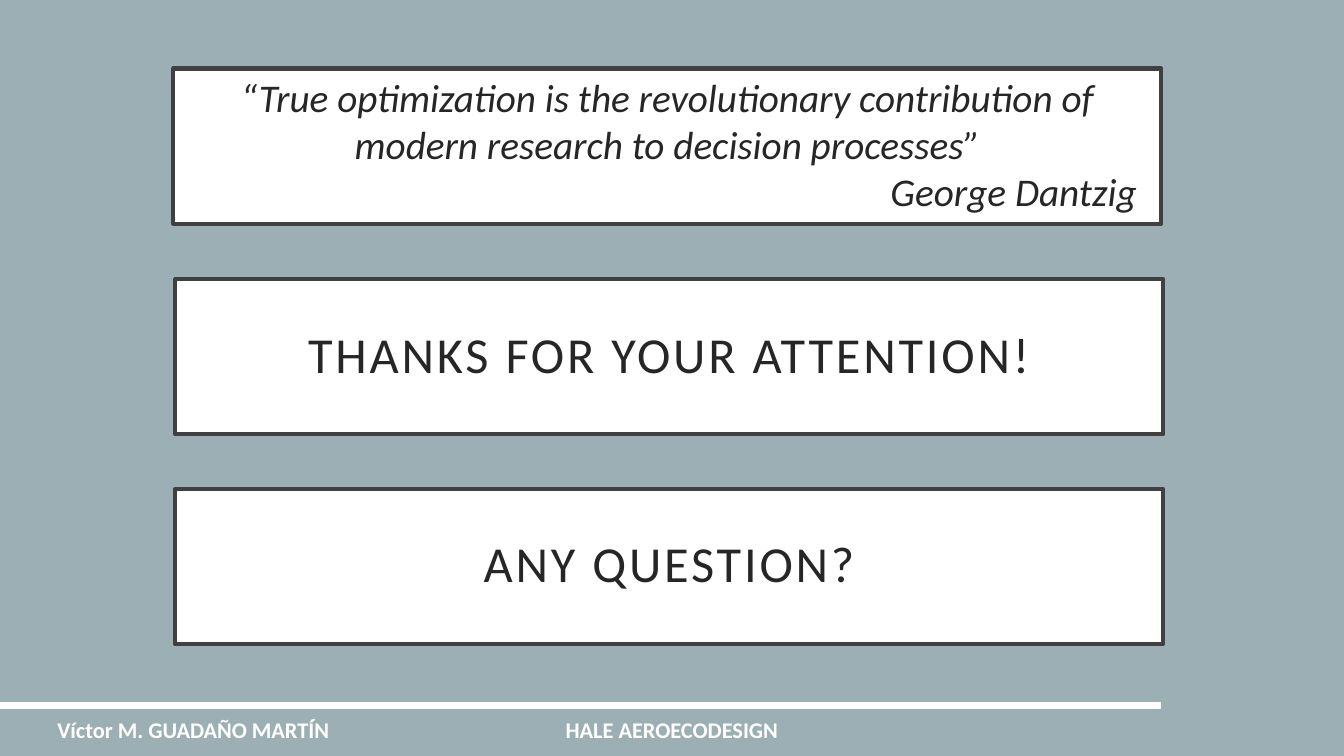
from pptx import Presentation
from pptx.dml.color import RGBColor
from pptx.enum import shapes, text
from pptx.util import Pt

FONT = "Calibri"
BACKGROUND, WHITE, BORDER, INK = "9BAFB5", "FFFFFF", "404040", "262626"
LEFT, CENTER, RIGHT = text.PP_ALIGN.LEFT, text.PP_ALIGN.CENTER, text.PP_ALIGN.RIGHT

QUOTE = [
    ("“True optimization is the revolutionary contribution of modern research "
     "to decision processes”", CENTER),
    ("George Dantzig\t ", RIGHT),
]
CLOSING_LINES = ["THANKS FOR YOUR ATTENTION!", "ANY QUESTION?"]
# text, left, width, alignment
FOOTERS = [
    ("Víctor M. GUADAÑO MARTÍN", 33.84, 252.72, LEFT),
    ("HALE AEROECODESIGN", 365.04, 229.68, CENTER),
]

PANEL_WIDTH, PANEL_HEIGHT = 705.6, 110.88
QUOTE_LEFT, QUOTE_TOP = 123.84, 48.96
CLOSING_LEFT, CLOSING_TOP, CLOSING_STEP = 125.28, 199.44, 149.76
RULE_TOP, RULE_END = 504, 829.44
FOOTER_TOP, FOOTER_HEIGHT = 508.32, 31.68


def color(hex_code):
    return RGBColor.from_string(hex_code)


def write(paragraph, words, alignment, size, hex_code, bold=False, italic=False):
    paragraph.text = words
    paragraph.alignment = alignment
    for run in paragraph.runs:
        font = run.font
        font.name, font.size = FONT, Pt(size)
        font.bold, font.italic = bold, italic
        font.color.rgb = color(hex_code)


def add_panel(slide, left, top):
    """Add a white bordered rectangle and return its text frame."""
    panel = slide.shapes.add_shape(
        shapes.MSO_SHAPE.RECTANGLE, Pt(left), Pt(top), Pt(PANEL_WIDTH), Pt(PANEL_HEIGHT))
    panel.shadow.inherit = False
    panel.fill.solid()
    panel.fill.fore_color.rgb = color(WHITE)
    panel.line.color.rgb = color(BORDER)
    panel.line.width = Pt(3)
    panel.text_frame.word_wrap = True
    return panel.text_frame


def add_quote(slide):
    frame = add_panel(slide, QUOTE_LEFT, QUOTE_TOP)
    frame.vertical_anchor = text.MSO_ANCHOR.TOP
    frame.text = "\n".join(words for words, _ in QUOTE)
    for paragraph, (words, alignment) in zip(frame.paragraphs, QUOTE):
        write(paragraph, words, alignment, 28, INK, italic=True)


def add_closing_line(slide, words, top):
    frame = add_panel(slide, CLOSING_LEFT, top)
    frame.vertical_anchor = text.MSO_ANCHOR.MIDDLE
    frame.margin_left = frame.margin_right = Pt(21.6)
    frame.margin_top = frame.margin_bottom = Pt(14.4)
    paragraph = frame.paragraphs[0]
    write(paragraph, words, CENTER, 36, INK)
    paragraph.line_spacing = 0.9
    paragraph.runs[0].font._element.set("spc", "200")


def add_rule(slide):
    rule = slide.shapes.add_connector(
        shapes.MSO_CONNECTOR.STRAIGHT, Pt(0), Pt(RULE_TOP), Pt(RULE_END), Pt(RULE_TOP))
    rule.line.color.rgb = color(WHITE)
    rule.line.width = Pt(4.5)
    rule._element.spPr.get_or_add_effectLst() if hasattr(
        rule._element.spPr, "get_or_add_effectLst") else None


def add_footer(slide, words, left, width, alignment):
    box = slide.shapes.add_textbox(Pt(left), Pt(FOOTER_TOP), Pt(width), Pt(FOOTER_HEIGHT))
    box.text_frame.word_wrap = True
    paragraph = box.text_frame.paragraphs[0]
    write(paragraph, words, alignment, 16, WHITE, bold=True)
    paragraph.space_before = Pt(10)


def main():
    presentation = Presentation()
    presentation.slide_width, presentation.slide_height = Pt(960), Pt(540)
    slide = presentation.slides.add_slide(presentation.slide_layouts[6])
    slide.background.fill.solid()
    slide.background.fill.fore_color.rgb = color(BACKGROUND)

    add_quote(slide)
    for index, words in enumerate(CLOSING_LINES):
        add_closing_line(slide, words, CLOSING_TOP + index * CLOSING_STEP)
    add_rule(slide)
    for footer in FOOTERS:
        add_footer(slide, *footer)
    presentation.save("out.pptx")


if __name__ == "__main__":
    main()
